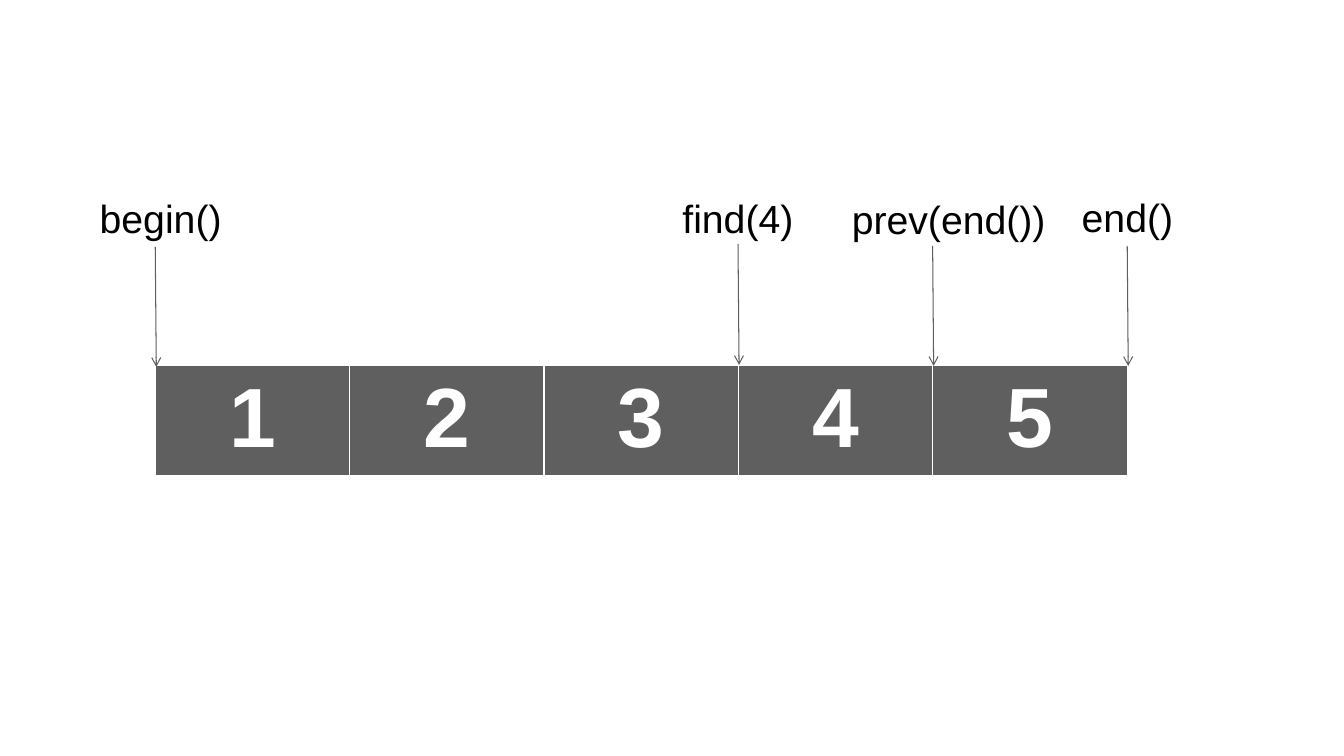
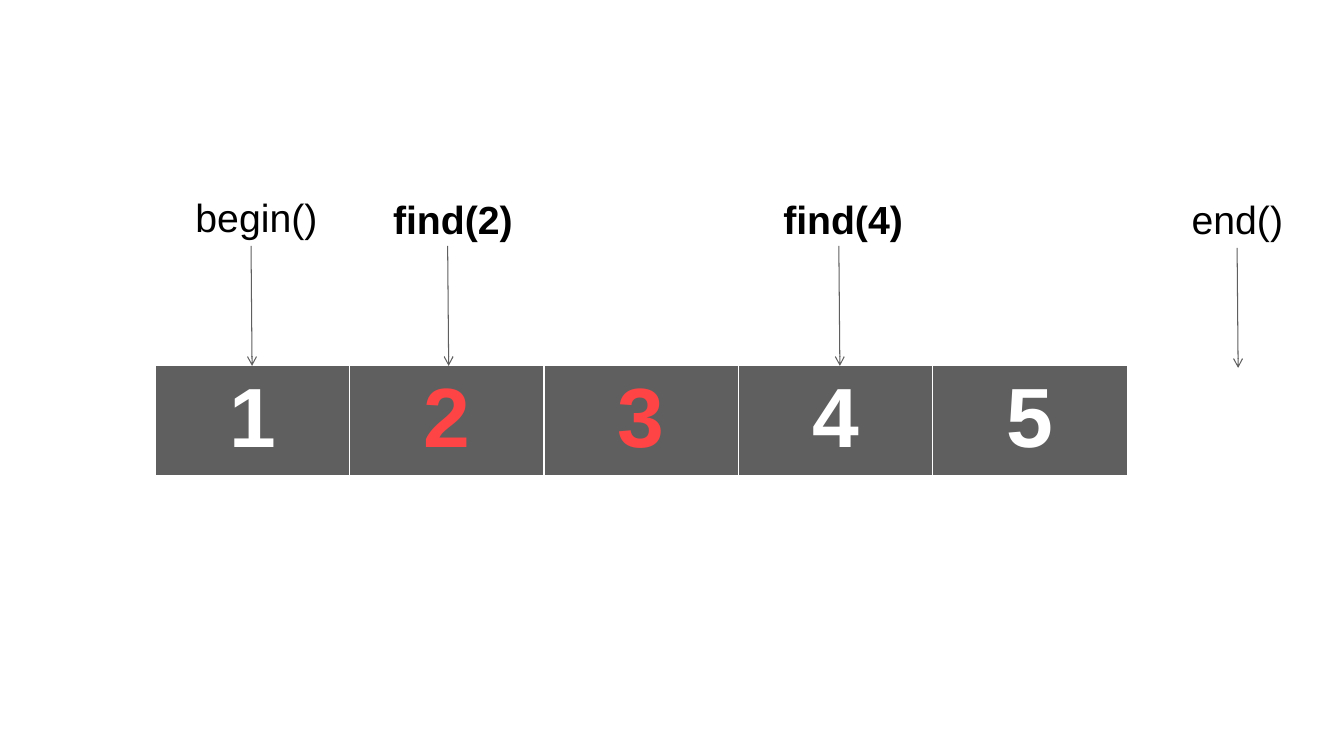
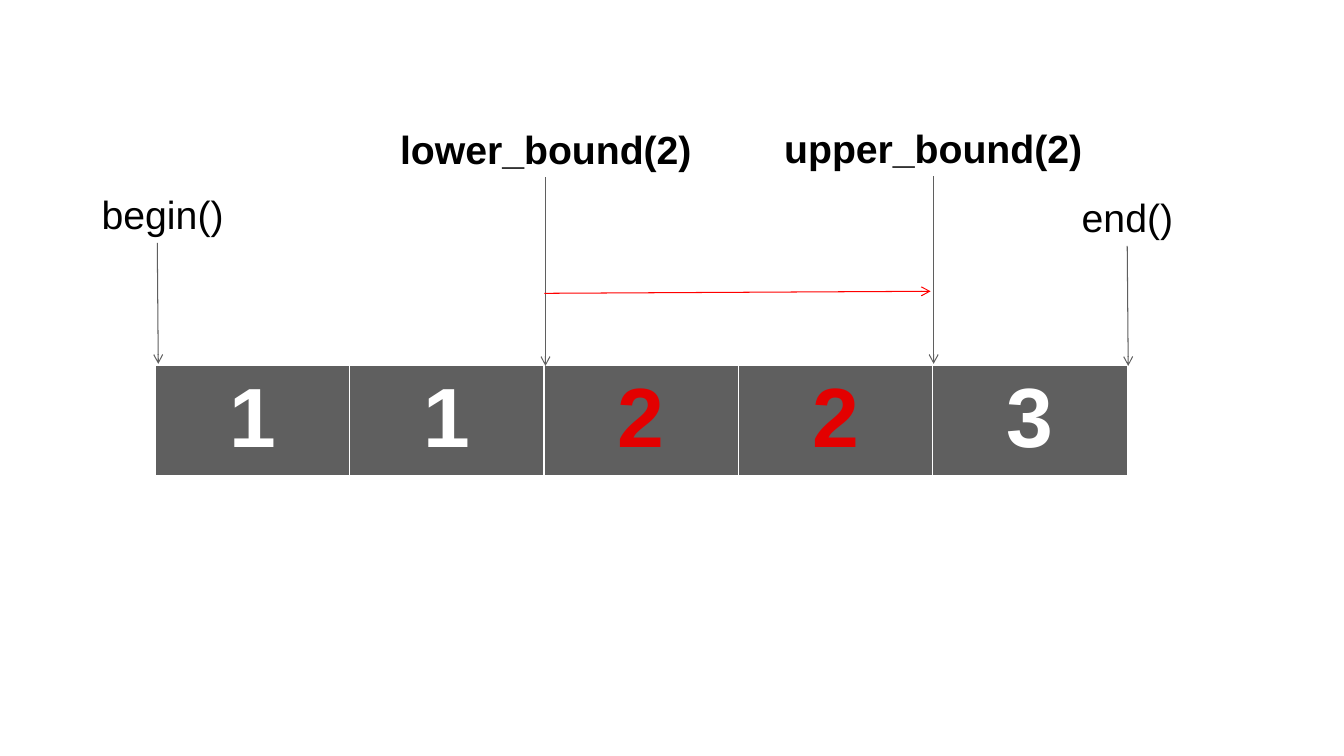
import pptx
import pptx.dml.color
import pptx.enum.shapes
import pptx.enum.text
import pptx.oxml.ns
import pptx.util
from lxml import etree
from pptx.util import Inches

COLORS = {
    "cell": "5F5F5F",
    "arrow": "5F5F5F",
    "white": "FFFFFF",
    "text": "000000",
    "light_red": "FE4444",
    "dark_red": "E30000",
    "range": "FF0000",
}
FONT = "Arial"
TABLE_LEFT, TABLE_TOP, TABLE_WIDTH, TABLE_HEIGHT = 1.54, 3.63, 9.64, 1.1
LABEL_HEIGHT = 0.57
BORDERS = {"lnL": 1, "lnR": 1, "lnT": 1, "lnB": 3}
LABEL_WIDTHS = {
    "begin()": 1.41, "end()": 1.11, "prev(end())": 2.12,
    "lower_bound(2)": 3.09, "upper_bound(2)": 3.16,
}
FIND_WIDTHS = {False: 1.3, True: 1.39}

# Each pointer: label, bold, label left and top, arrow start, arrow tip
SLIDES = [
    {
        "values": "12345", "marked": [], "mark": "white", "range": None,
        "pointers": [
            ("find(4)", False, (6.67, 1.88), (7.32, 2.42), (7.33, 3.62)),
            ("begin()", False, (0.89, 1.88), (1.54, 2.45), (1.55, 3.64)),
            ("prev(end())", False, (8.35, 1.89), (9.25, 2.44), (9.26, 3.63)),
            ("end()", False, (10.63, 1.87), (11.18, 2.44), (11.19, 3.63)),
        ],
    },
    {
        "values": "12345", "marked": [1, 2], "mark": "light_red", "range": None,
        "pointers": [
            ("find(4)", True, (7.67, 1.89), (8.32, 2.44), (8.33, 3.63)),
            ("begin()", False, (1.84, 1.87), (2.49, 2.44), (2.5, 3.63)),
            ("end()", False, (11.72, 1.89), (12.27, 2.46), (12.28, 3.65)),
            ("find(2)", True, (3.8, 1.89), (4.44, 2.44), (4.45, 3.63)),
        ],
    },
    {
        "values": "11223", "marked": [2, 3], "mark": "dark_red",
        "range": ((5.4, 2.91), (9.23, 2.89)),
        "pointers": [
            ("begin()", False, (0.91, 1.84), (1.56, 2.41), (1.57, 3.61)),
            ("end()", False, (10.63, 1.87), (11.18, 2.44), (11.19, 3.63)),
            ("lower_bound(2)", True, (3.87, 1.19), (5.41, 1.76), (5.41, 3.63)),
            ("upper_bound(2)", True, (7.68, 1.18), (9.26, 1.75), (9.26, 3.61)),
        ],
    },
]


def add_arrow(slide, start, tip, color):
    line = slide.shapes.add_connector(
        pptx.enum.shapes.MSO_CONNECTOR.STRAIGHT,
        *[Inches(v) for v in (*start, *tip)])
    line.line.color.rgb = pptx.dml.color.RGBColor.from_string(COLORS[color])
    line.line.width = pptx.util.Pt(0.75)
    ln = line.line._get_or_add_ln()
    etree.SubElement(ln, pptx.oxml.ns.qn("a:tailEnd"), type="arrow")
    etree.SubElement(line._element.spPr, pptx.oxml.ns.qn("a:effectLst"))


def format_run(r, size, color, bold):
    r.font.name = FONT
    r.font.size = pptx.util.Pt(size)
    r.font.bold = bold
    r.font.color.rgb = pptx.dml.color.RGBColor.from_string(COLORS[color])


prs = pptx.Presentation()
prs.slide_width, prs.slide_height = Inches(13.33), Inches(7.5)

for content in SLIDES:
    s = prs.slides.add_slide(prs.slide_layouts[6])

    values = content["values"]
    table = s.shapes.add_table(
        1, len(values), Inches(TABLE_LEFT), Inches(TABLE_TOP),
        Inches(TABLE_WIDTH), Inches(TABLE_HEIGHT)).table
    table.first_row = table.horz_banding = False
    for i, value in enumerate(values):
        cell = table.cell(0, i)
        tc_pr = cell._tc.get_or_add_tcPr()
        for side, width in BORDERS.items():
            ln = etree.SubElement(tc_pr, pptx.oxml.ns.qn("a:" + side),
                                  w=str(pptx.util.Pt(width)))
            fill = etree.SubElement(ln, pptx.oxml.ns.qn("a:solidFill"))
            etree.SubElement(fill, pptx.oxml.ns.qn("a:srgbClr"), val=COLORS["white"])
        cell.fill.solid()
        cell.fill.fore_color.rgb = pptx.dml.color.RGBColor.from_string(COLORS["cell"])
        p = cell.text_frame.paragraphs[0]
        p.text = value
        p.alignment = pptx.enum.text.PP_ALIGN.CENTER
        color = content["mark"] if i in content["marked"] else "white"
        format_run(p.runs[0], 60, color, True)

    for label, bold, (left, top), start, tip in content["pointers"]:
        add_arrow(s, start, tip, "arrow")
        width = LABEL_WIDTHS.get(label, FIND_WIDTHS[bold])
        tf = s.shapes.add_textbox(Inches(left), Inches(top), Inches(width),
                                  Inches(LABEL_HEIGHT)).text_frame
        tf.word_wrap = False
        tf.auto_size = pptx.enum.text.MSO_AUTO_SIZE.SHAPE_TO_FIT_TEXT
        tf.text = label
        format_run(tf.paragraphs[0].runs[0], 28, "text", bold)

    if content["range"]:
        add_arrow(s, *content["range"], "range")

prs.save("out.pptx")
